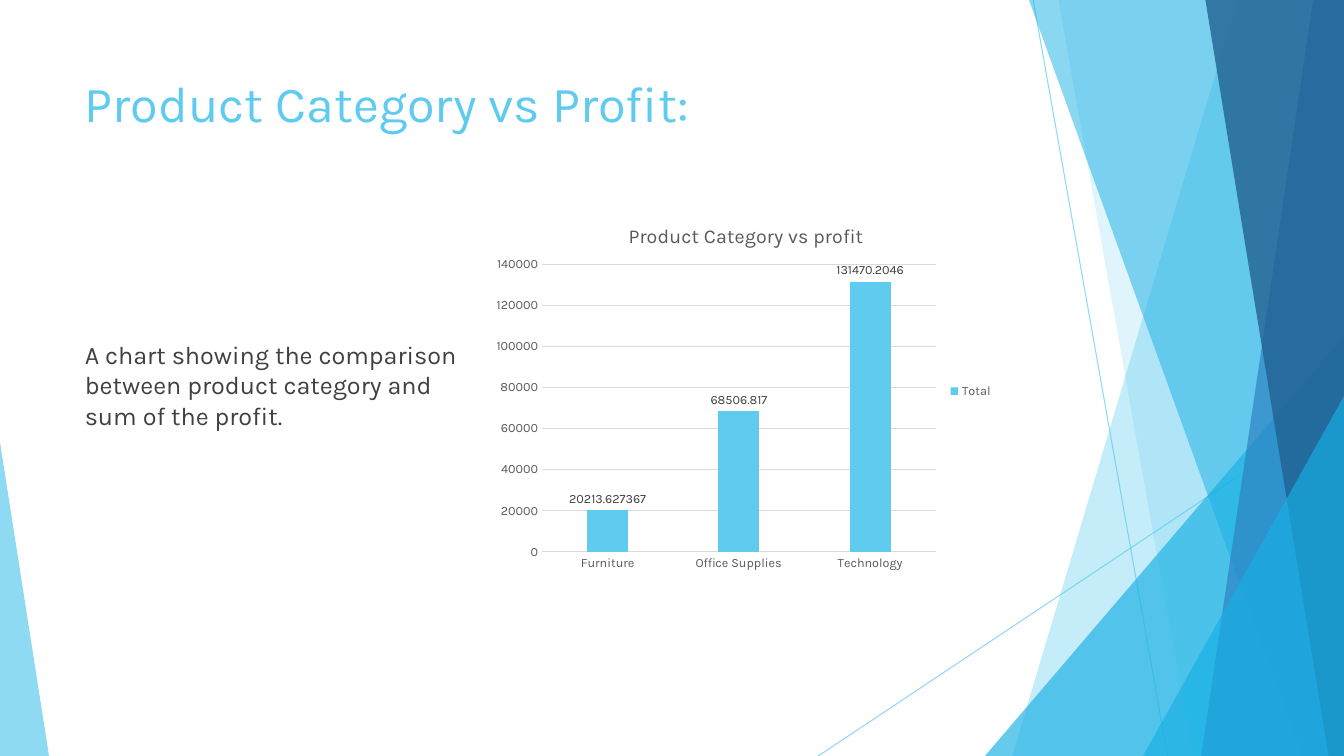
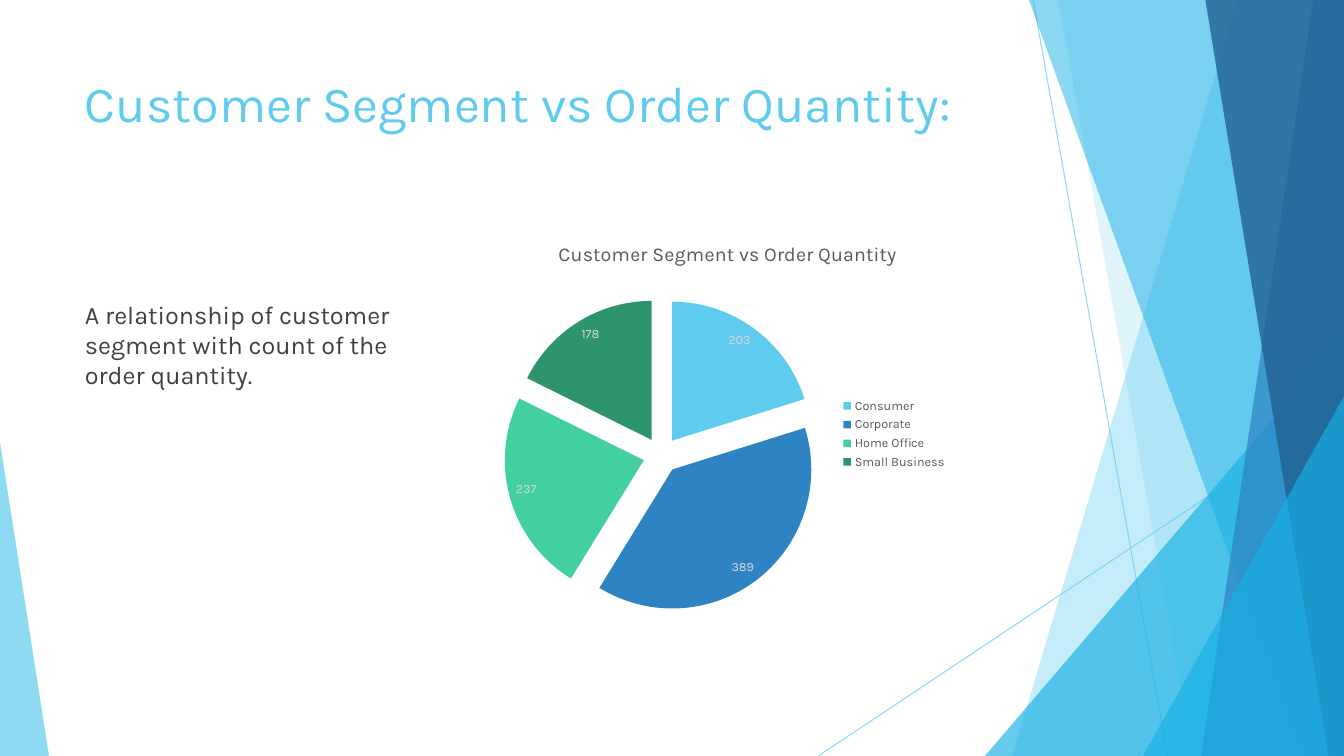
from dataclasses import dataclass

from lxml import etree
from pptx import Presentation
from pptx.chart.data import CategoryChartData
from pptx.dml.color import RGBColor
from pptx.enum.chart import XL_CHART_TYPE, XL_LABEL_POSITION, XL_LEGEND_POSITION, XL_TICK_MARK
from pptx.enum.shapes import MSO_CONNECTOR, MSO_SHAPE
from pptx.enum.text import MSO_ANCHOR
from pptx.oxml.ns import qn
from pptx.util import Pt

COLUMN = XL_CHART_TYPE.COLUMN_CLUSTERED
PIE = XL_CHART_TYPE.PIE
OUTSIDE_END = XL_LABEL_POSITION.OUTSIDE_END
INSIDE_END = XL_LABEL_POSITION.INSIDE_END
LEGEND_RIGHT = XL_LEGEND_POSITION.RIGHT
NO_TICK = XL_TICK_MARK.NONE
STRAIGHT = MSO_CONNECTOR.STRAIGHT
TRIANGLE = MSO_SHAPE.ISOSCELES_TRIANGLE
TOP = MSO_ANCHOR.TOP


@dataclass(frozen=True)
class Theme:
    """Colours, font, type sizes and slide size."""

    font: str = "Karla"
    sky: str = "5FCBEF"
    cyan: str = "17B0E4"
    blue: str = "2E83C3"
    navy: str = "226292"
    mint: str = "42D0A2"
    green: str = "2E946B"
    body: str = "404040"
    muted: str = "595959"
    grid: str = "D9D9D9"
    title_size: float = 36
    body_size: float = 18
    chart_title_size: float = 14
    chart_size: float = 9
    hairline: float = 0.75
    width: float = 960
    height: float = 540


THEME = Theme()


def paint(format_part, color, alpha=100):
    """Give a fill a solid colour with an opacity in percent."""
    format_part.solid()
    format_part.fore_color.rgb = RGBColor.from_string(color)
    if alpha < 100:
        color_element = format_part._xPr.find(qn("a:solidFill"))[0]
        etree.SubElement(color_element, qn("a:alpha")).set("val", str(alpha * 1000))


def style_font(font, size, color):
    """Apply the theme font with a size and a colour."""
    font.name = THEME.font
    font.size = Pt(size)
    font.bold = False
    font.color.rgb = RGBColor.from_string(color)


def finish_shape(shape, color, alpha):
    """Leave a shape with a translucent fill only."""
    paint(shape.fill, color, alpha)
    shape.line.fill.background()
    shape.shadow.inherit = False


def add_ray(slide, start, end):
    """Draw a translucent hairline."""
    connector = slide.shapes.add_connector(STRAIGHT, *(Pt(value) for value in start + end))
    connector.line.width = Pt(THEME.hairline)
    paint(connector.line.fill, THEME.sky, 70)
    etree.SubElement(connector._element.spPr, qn("a:effectLst"))


def add_band(slide, top_x, bottom_x, color, alpha):
    """Fill the area between a slanted edge and the right side of the slide."""
    builder = slide.shapes.build_freeform(top_x, 0, scale=Pt(1))
    right, bottom = THEME.width, THEME.height
    builder.add_line_segments([(right, 0), (right, bottom), (bottom_x, bottom)], close=True)
    finish_shape(builder.convert_to_shape(), color, alpha)


def add_corner(slide, left, top, width, apex, color, alpha):
    """Draw a right triangle standing on the bottom of the slide."""
    height = THEME.height - top
    shape = slide.shapes.add_shape(TRIANGLE, Pt(left), Pt(top), Pt(width), Pt(height))
    shape.adjustments[0] = apex
    finish_shape(shape, color, alpha)


def add_backdrop(slide):
    """Draw the facets that all slides share."""
    add_ray(slide, (738, 0), (834, 540))
    add_ray(slide, (960, 290), (584.5, 540))
    add_band(slide, 884, 723, THEME.sky, 36)
    add_band(slide, 756, 852, THEME.sky, 20)
    add_corner(slide, 703.5, 240, 256.5, 1, THEME.cyan, 66)
    add_band(slide, 735, 929.5, THEME.cyan, 50)
    add_band(slide, 938.5, 858.5, THEME.blue, 70)
    add_band(slide, 861, 949, THEME.navy, 80)
    add_corner(slide, 816.5, 283, 143.5, 1, THEME.cyan, 66)
    add_corner(slide, 0, 316, 35, 0, THEME.sky, 70)


def add_text(slide, text, *, top, width, height, size, color, left=53.5):
    """Add a wrapped text box."""
    box = slide.shapes.add_textbox(Pt(left), Pt(top), Pt(width), Pt(height))
    frame = box.text_frame
    frame.word_wrap = True
    frame.vertical_anchor = TOP
    run = frame.paragraphs[0].add_run()
    run.text = text
    style_font(run.font, size, color)


def add_content_slide(presentation, title, body, **body_place):
    """Add a slide with backdrop, title and body text."""
    slide = presentation.slides.add_slide(presentation.slide_layouts[6])
    add_backdrop(slide)
    add_text(slide, title, top=48, width=677, height=104,
             size=THEME.title_size, color=THEME.sky)
    add_text(slide, body, size=THEME.body_size, color=THEME.body, **body_place)
    return slide


def set_layout(holder, **values):
    """Place a chart part by fractions of the chart area."""
    layout = holder.find(qn("c:layout"))
    if layout is None:
        layout = holder.makeelement(qn("c:layout"), {})
        holder.insert(0, layout)
    for child in list(layout):
        layout.remove(child)
    manual = etree.SubElement(layout, qn("c:manualLayout"))
    settings = {"xMode": "edge", "yMode": "edge", **values}
    if "w" in values:
        settings = {"layoutTarget": "inner", **settings}
    for name, value in settings.items():
        etree.SubElement(manual, qn(f"c:{name}")).set("val", str(value))


def add_chart(slide, kind, place, title, series_name, values, *,
              title_at, plot_at, label_color, label_position):
    """Add a one-series chart with title, legend and value labels."""
    data = CategoryChartData()
    data.categories = list(values)
    data.add_series(series_name, list(values.values()))
    chart = slide.shapes.add_chart(kind, *(Pt(value) for value in place), data).chart
    style_font(chart.font, THEME.chart_size, THEME.muted)

    chart.has_title = True
    run = chart.chart_title.text_frame.paragraphs[0].add_run()
    run.text = title
    style_font(run.font, THEME.chart_title_size, THEME.muted)
    set_layout(chart.chart_title._element, **title_at)
    set_layout(chart._chartSpace.xpath("c:chart/c:plotArea")[0], **plot_at)

    chart.has_legend = True
    chart.legend.position = LEGEND_RIGHT
    chart.legend.include_in_layout = False
    style_font(chart.legend.font, THEME.chart_size, THEME.muted)

    labels = chart.plots[0].series[0].data_labels
    labels.show_value = True
    labels.number_format = "General"
    labels.number_format_is_linked = False
    labels.position = label_position
    style_font(labels.font, THEME.chart_size, label_color)
    return chart


def style_columns(chart, *, maximum, step):
    """Format the bars, axes and gridlines of a column chart."""
    plot = chart.plots[0]
    plot.gap_width = 219
    plot.overlap = -27
    plot.vary_by_categories = False
    paint(plot.series[0].format.fill, THEME.sky)
    value_axis, category_axis = chart.value_axis, chart.category_axis
    for axis in (value_axis, category_axis):
        axis.major_tick_mark = axis.minor_tick_mark = NO_TICK
        style_font(axis.tick_labels.font, THEME.chart_size, THEME.muted)
    value_axis.minimum_scale = 0
    value_axis.maximum_scale = maximum
    value_axis.major_unit = step
    value_axis.has_major_gridlines = True
    value_axis.format.line.fill.background()
    for line in (value_axis.major_gridlines.format.line, category_axis.format.line):
        line.width = Pt(THEME.hairline)
        paint(line.fill, THEME.grid)


def style_slices(chart, colors, *, explosion):
    """Colour the slices of a pie chart and pull them apart."""
    plot = chart.plots[0]
    plot.vary_by_categories = True
    series = plot.series[0]
    gap = series._element.makeelement(qn("c:explosion"), {"val": str(explosion)})
    series._element.find(qn("c:tx")).addnext(gap)
    for index, color in enumerate(colors):
        paint(series.points[index].format.fill, color)


def add_profit_slide(presentation):
    """Compare profit across product categories."""
    slide = add_content_slide(
        presentation, "Product Category vs Profit:",
        "A chart showing the comparison between product category and sum of the profit.",
        top=239, width=293, height=237)
    chart = add_chart(
        slide, COLUMN, (346.5, 146, 370, 267), "Product Category vs profit", "Total",
        {"Furniture": 20213.627367, "Office Supplies": 68506.817, "Technology": 131470.2046},
        title_at={"x": 0.27, "y": 0.04},
        plot_at={"x": 0.11, "y": 0.16, "w": 0.76, "h": 0.77},
        label_color=THEME.body, label_position=OUTSIDE_END)
    style_columns(chart, maximum=140000, step=20000)


def add_segment_slide(presentation):
    """Show order counts by customer segment."""
    slide = add_content_slide(
        presentation, "Customer Segment vs Order Quantity:",
        "A relationship of customer segment with count of the order quantity.",
        top=210, width=255.5, height=266)
    chart = add_chart(
        slide, PIE, (353.5, 157.5, 330, 305), "Customer Segment vs Order Quantity", "Series 1",
        {"Consumer": 203, "Corporate": 389, "Home Office": 237, "Small Business": 178},
        title_at={"x": 0.13, "y": 0.04},
        plot_at={"x": 0.02, "y": 0.18, "w": 0.68, "h": 0.74},
        label_color=THEME.grid, label_position=INSIDE_END)
    style_slices(chart, (THEME.sky, THEME.blue, THEME.mint, THEME.green), explosion=13)


def main():
    """Build and save the presentation."""
    presentation = Presentation()
    presentation.slide_width = Pt(THEME.width)
    presentation.slide_height = Pt(THEME.height)
    add_profit_slide(presentation)
    add_segment_slide(presentation)
    presentation.save("out.pptx")


if __name__ == "__main__":
    main()
